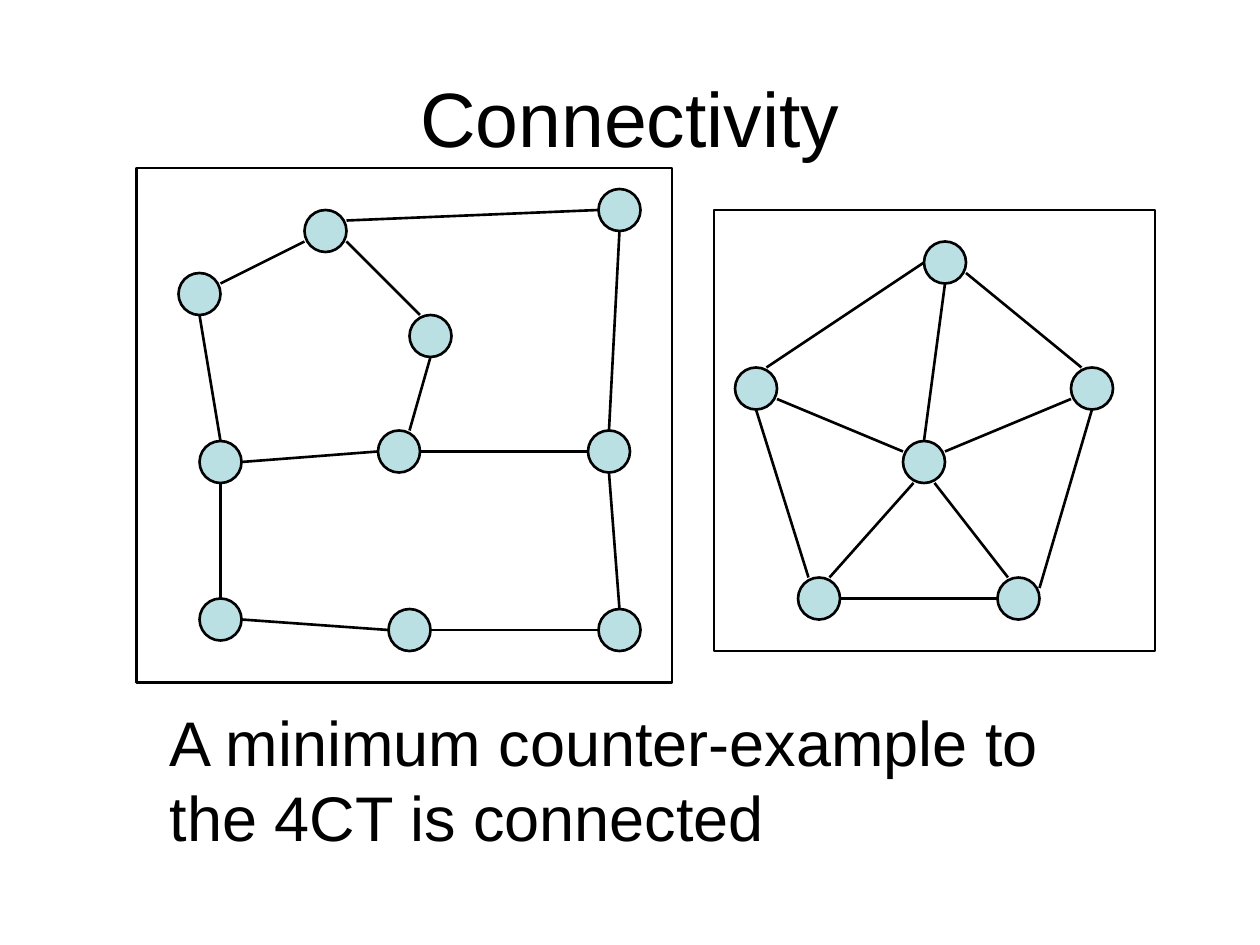
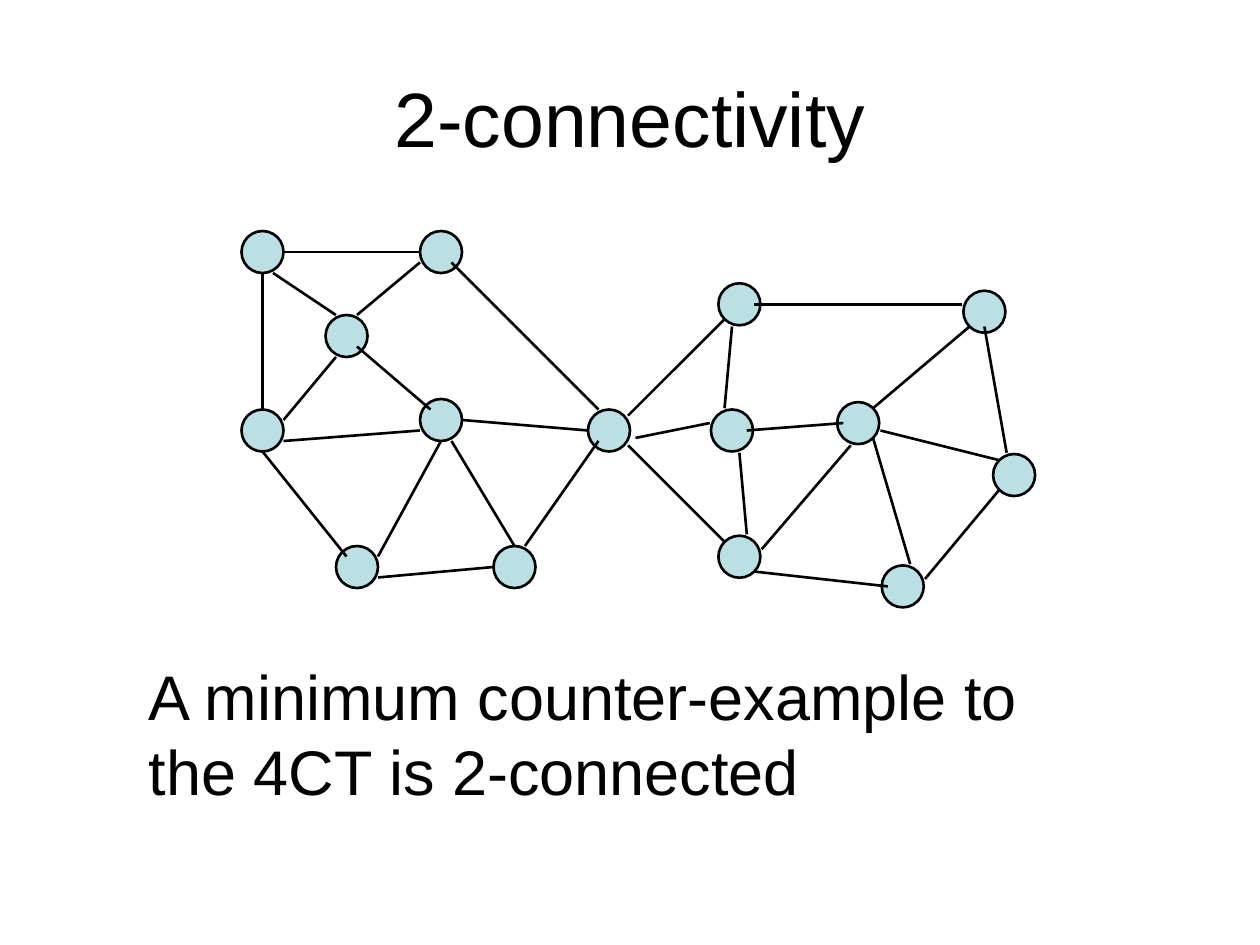
import math

import pptx
import pptx.dml.color
import pptx.enum.shapes
import pptx.enum.text
import pptx.oxml.ns
import pptx.util
from lxml import etree

# Lengths are in cells of a grid with 12 cells to the inch.
CELL = pptx.util.Inches(1) / 12
WIDE, HIGH = 120, 90
NODE = 4
COLORS = {"ink": "000000", "node": "BBE0E3"}
TITLE = {"size": pptx.util.Pt(44), "name": "Arial"}
BODY = {"size": pptx.util.Pt(36), "name": "Arial"}
SHAPES = pptx.enum.shapes.MSO_SHAPE

# Nodes are centres (x, y); edges are (x1, y1, x2, y2), from the graph's corner.
MESH = {
    "nodes": [(18, 6), (28, 16), (8, 28), (6, 12), (25, 27),
              (45, 27), (8, 43), (26, 44), (46, 44), (46, 4)],
    "edges": [(20, 7, 27, 14), (16, 7, 8, 11), (6, 14, 8, 26), (10, 28, 23, 27),
              (28, 18, 26, 25), (8, 30, 8, 41), (10, 43, 24, 44), (28, 44, 44, 44),
              (46, 42, 45, 29), (27, 27, 43, 27), (46, 6, 45, 25), (20, 5, 44, 4)],
}
WHEEL = {
    "nodes": [(20, 24), (4, 17), (22, 5), (36, 17), (29, 37), (10, 37)],
    "edges": [(11, 35, 19, 26), (21, 26, 28, 35), (22, 23, 34, 18), (6, 18, 18, 23),
              (22, 7, 20, 22), (4, 19, 9, 35), (12, 37, 27, 37), (31, 36, 36, 19),
              (35, 15, 24, 6), (5, 15, 20, 5)],
}
WING = {
    "nodes": [(0, 0), (33, 17), (24, 30), (0, 17), (9, 30), (17, 16), (17, 0), (8, 8)],
    "edges": [(32, 15, 18, 1), (19, 16, 31, 17), (9, 9, 16, 15), (15, 1, 9, 6),
              (2, 0, 15, 0), (1, 2, 7, 6), (0, 2, 0, 15), (2, 16, 7, 10),
              (2, 18, 15, 17), (0, 19, 8, 29), (11, 29, 17, 18), (11, 31, 22, 30),
              (18, 18, 24, 28), (25, 28, 32, 18)],
}
# The turned wing shares its first node with the level one.
TURNED = {"nodes": WING["nodes"][1:], "edges": WING["edges"]}

SLIDES = [
    {"title": "Connectivity",
     "text": "A minimum counter-example to the 4CT is connected", "spot": (15, 66.4),
     "graphs": [(MESH, (13, 16), 0), (WHEEL, (68, 20), 0)],
     "frames": [(13, 16, 51, 49), (68, 20, 42, 42)]},
    {"title": "2-connectivity",
     "text": "A minimum counter-example to the 4CT is 2-connected", "spot": (13, 62),
     "graphs": [(WING, (25, 24), 0), (TURNED, (58.4, 41), -45)],
     "frames": []},
]


def scale(*cells):
    return [round(cell * CELL) for cell in cells]


def color(name):
    return pptx.dml.color.RGBColor.from_string(COLORS[name])


def ink(line):
    line.color.rgb = color("ink")
    line.width = pptx.util.Pt(1.5)


def add_text(slide, text, place, look, align, anchor):
    frame = slide.shapes.add_textbox(*scale(*place)).text_frame
    frame.word_wrap = True
    frame.vertical_anchor = anchor
    para = frame.paragraphs[0]
    para.text = text
    para.alignment = align
    for key, value in look.items():
        setattr(para.font, key, value)
    para.font.color.rgb = color("ink")


def add_shape(slide, kind, place, fill=None):
    shape = slide.shapes.add_shape(kind, *scale(*place))
    shape.shadow.inherit = False
    if fill:
        shape.fill.solid()
        shape.fill.fore_color.rgb = color(fill)
    else:
        shape.fill.background()
    ink(shape.line)
    return shape


def add_edge(slide, start, end):
    edge = slide.shapes.add_connector(
        pptx.enum.shapes.MSO_CONNECTOR.STRAIGHT, *scale(*start, *end))
    ink(edge.line)
    etree.SubElement(edge._element.spPr, pptx.oxml.ns.qn("a:effectLst"))


def add_graph(slide, graph, corner, turn):
    """Draw the graph at its corner, turned about it by some degrees."""
    cos, sin = math.cos(math.radians(turn)), math.sin(math.radians(turn))

    def place(x, y):
        return corner[0] + x * cos - y * sin, corner[1] + x * sin + y * cos

    for node in graph["nodes"]:
        x, y = place(*node)
        box = (x - NODE / 2, y - NODE / 2, NODE, NODE)
        add_shape(slide, SHAPES.OVAL, box, "node").rotation = turn % 360
    for edge in graph["edges"]:
        add_edge(slide, place(*edge[:2]), place(*edge[2:]))


def main():
    deck = pptx.Presentation()
    deck.slide_width, deck.slide_height = scale(WIDE, HIGH)
    align, anchor = pptx.enum.text.PP_ALIGN, pptx.enum.text.MSO_ANCHOR
    for page in SLIDES:
        slide = deck.slides.add_slide(deck.slide_layouts[6])
        add_text(slide, page["title"], (6, 3.6, WIDE - 12, 15), TITLE,
                 align.CENTER, anchor.MIDDLE)
        for graph in page["graphs"]:
            add_graph(slide, *graph)
        add_text(slide, page["text"], (*page["spot"], 86, 15.6), BODY,
                 align.LEFT, anchor.TOP)
        for frame in page["frames"]:
            add_shape(slide, SHAPES.RECTANGLE, frame)
    deck.save("out.pptx")


if __name__ == "__main__":
    main()
